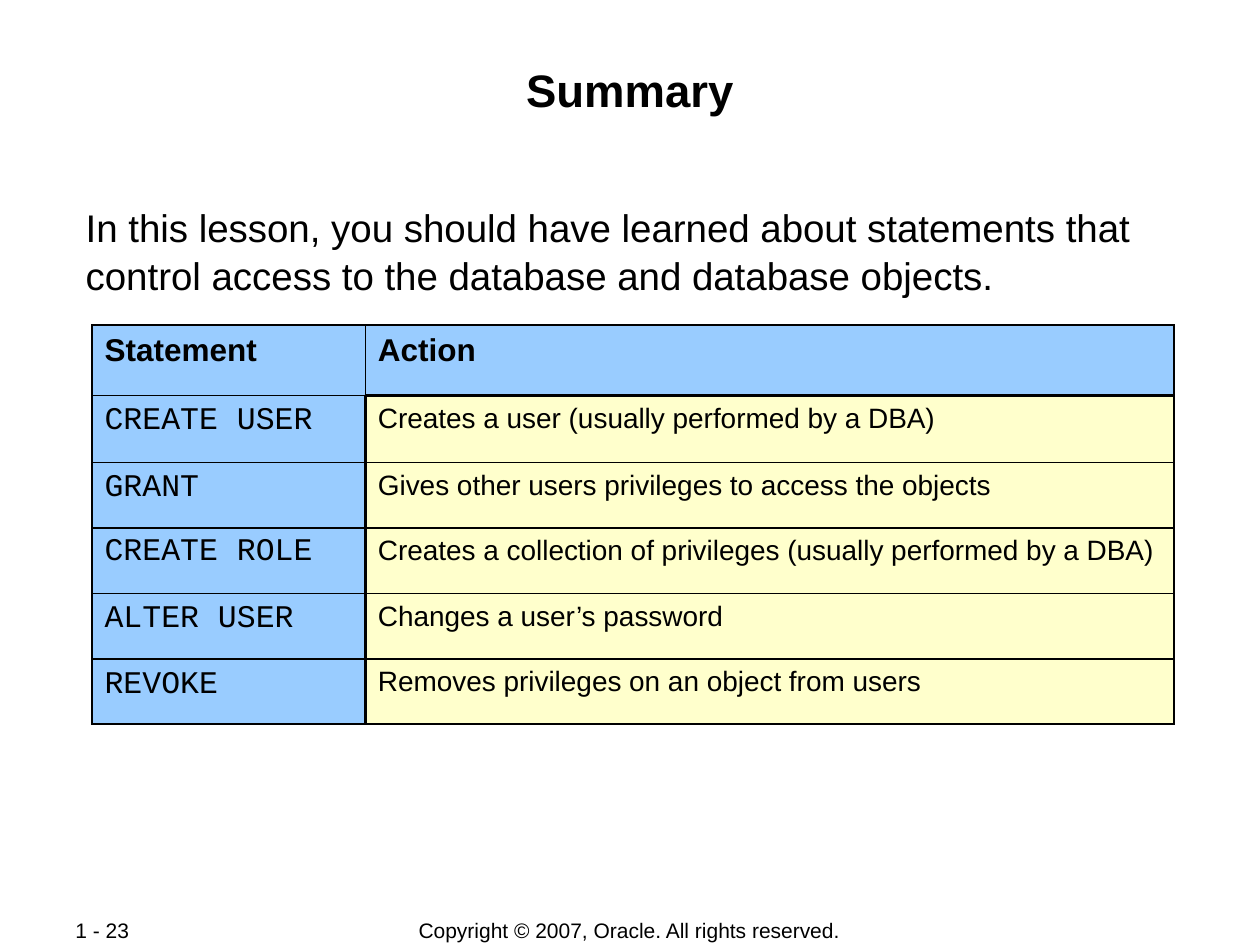
from pptx import Presentation
from pptx.dml.color import RGBColor
from pptx.enum.text import MSO_ANCHOR, MSO_AUTO_SIZE, PP_ALIGN
from pptx.oxml.ns import qn
from pptx.util import Inches, Pt
from lxml.etree import SubElement

# Content
TITLE = "Summary"
INTRO = ("In this lesson, you should have learned about statements that "
         "control access to the database and database objects.")
HEADINGS = ("Statement", "Action")
STATEMENTS = [
    ("CREATE USER", "Creates a user (usually performed by a DBA)"),
    ("GRANT", "Gives other users privileges to access the objects"),
    ("CREATE ROLE", "Creates a collection of privileges (usually performed by a DBA)"),
    ("ALTER USER", "Changes a user’s password"),
    ("REVOKE", "Removes privileges on an object from users"),
]
TIGHT_STATEMENT = "CREATE ROLE"
FOOTERS = [
    ("Copyright © 2007, Oracle. All rights reserved.",
     (2.75, 7.28, 4.49, 0.21), PP_ALIGN.CENTER),
    ("1 - 23", (0.5, 7.28, 1.06, 0.2), PP_ALIGN.JUSTIFY),
]

# Format
BLACK = RGBColor(0x00, 0x00, 0x00)
BLUE = RGBColor(0x99, 0xCC, 0xFF)
YELLOW = RGBColor(0xFF, 0xFF, 0xCC)
THIN, THICK = 1.08, 2.21
COLUMN_WIDTHS = (2.17, 6.42)
ROW_HEIGHTS = (0.56, 0.53, 0.52, 0.52, 0.52, 0.52)


def write(frame, text, size, font="Arial", bold=False, align=PP_ALIGN.LEFT, spacing=1.0):
    """Write one formatted paragraph into a text frame."""
    para = frame.paragraphs[0]
    para.alignment = align
    para.line_spacing = spacing
    para.space_before = Pt(0)
    span = para.add_run()
    span.text = text
    span.font.size = Pt(size)
    span.font.name = font
    span.font.bold = bold
    span.font.color.rgb = BLACK
    return para


def place(shape, left, top, width, height):
    """Move a placeholder and give it narrow margins."""
    shape.left, shape.top = Inches(left), Inches(top)
    shape.width, shape.height = Inches(width), Inches(height)
    frame = shape.text_frame
    frame.margin_left = frame.margin_right = Inches(0.01)
    frame.margin_top = frame.margin_bottom = Inches(0.01)
    frame.vertical_anchor = MSO_ANCHOR.TOP
    frame.auto_size = MSO_AUTO_SIZE.NONE
    frame.word_wrap = True
    return frame


def set_borders(cell, **widths):
    """Draw solid black cell borders, given in points by side."""
    properties = cell._tc.get_or_add_tcPr()
    for index, side in enumerate("LRTB"):
        line = properties.makeelement(qn(f"a:ln{side}"), {"w": str(Pt(widths[side]))})
        fill = SubElement(line, qn("a:solidFill"))
        SubElement(fill, qn("a:srgbClr"), val=str(BLACK))
        properties.insert(index, line)


deck = Presentation()
deck.slide_width, deck.slide_height = Inches(10), Inches(7.5)
page = deck.slides.add_slide(deck.slide_layouts[1])
title, body = page.placeholders

# Title and introduction
write(place(title, 0.67, 0.48, 8.66, 0.96), TITLE, 26, bold=True, align=PP_ALIGN.CENTER)
intro = place(body, 0.67, 1.59, 8.66, 1.91)
properties = intro.paragraphs[0]._p.get_or_add_pPr()
properties.set("marL", "0")
properties.set("indent", "0")
SubElement(properties, qn("a:buNone"))
write(intro, INTRO, 22, spacing=1.05)

# Table of statements
rows = [HEADINGS, *STATEMENTS]
table = page.shapes.add_table(
    len(rows), len(HEADINGS), Inches(0.73), Inches(2.58),
    Inches(sum(COLUMN_WIDTHS)), Inches(sum(ROW_HEIGHTS))).table
table.first_row = table.horz_banding = False
for column, width in zip(table.columns, COLUMN_WIDTHS):
    column.width = Inches(width)
for row, height in zip(table.rows, ROW_HEIGHTS):
    row.height = Inches(height)

for r, texts in enumerate(rows):
    for c, text in enumerate(texts):
        cell = table.cell(r, c)
        header, action = r == 0, c == 1
        cell.fill.solid()
        cell.fill.fore_color.rgb = YELLOW if action and not header else BLUE
        # Thick lines separate the yellow cells from the blue ones
        set_borders(
            cell,
            L=THICK if action and not header else THIN,
            R=THIN if action or header else THICK,
            T=THICK if action and r == 1 else THIN,
            B=THICK if action and header else THIN)
        write(cell.text_frame, text,
              size=16 if action and not header else 18,
              font="Arial" if action or header else "Courier New",
              bold=header,
              spacing=1.0 if text == TIGHT_STATEMENT else 1.05)

# Footer
for text, area, align in FOOTERS:
    frame = page.shapes.add_textbox(*map(Inches, area)).text_frame
    frame.word_wrap = False
    frame.vertical_anchor = MSO_ANCHOR.MIDDLE
    write(frame, text, 12, align=align)

deck.save("out.pptx")
